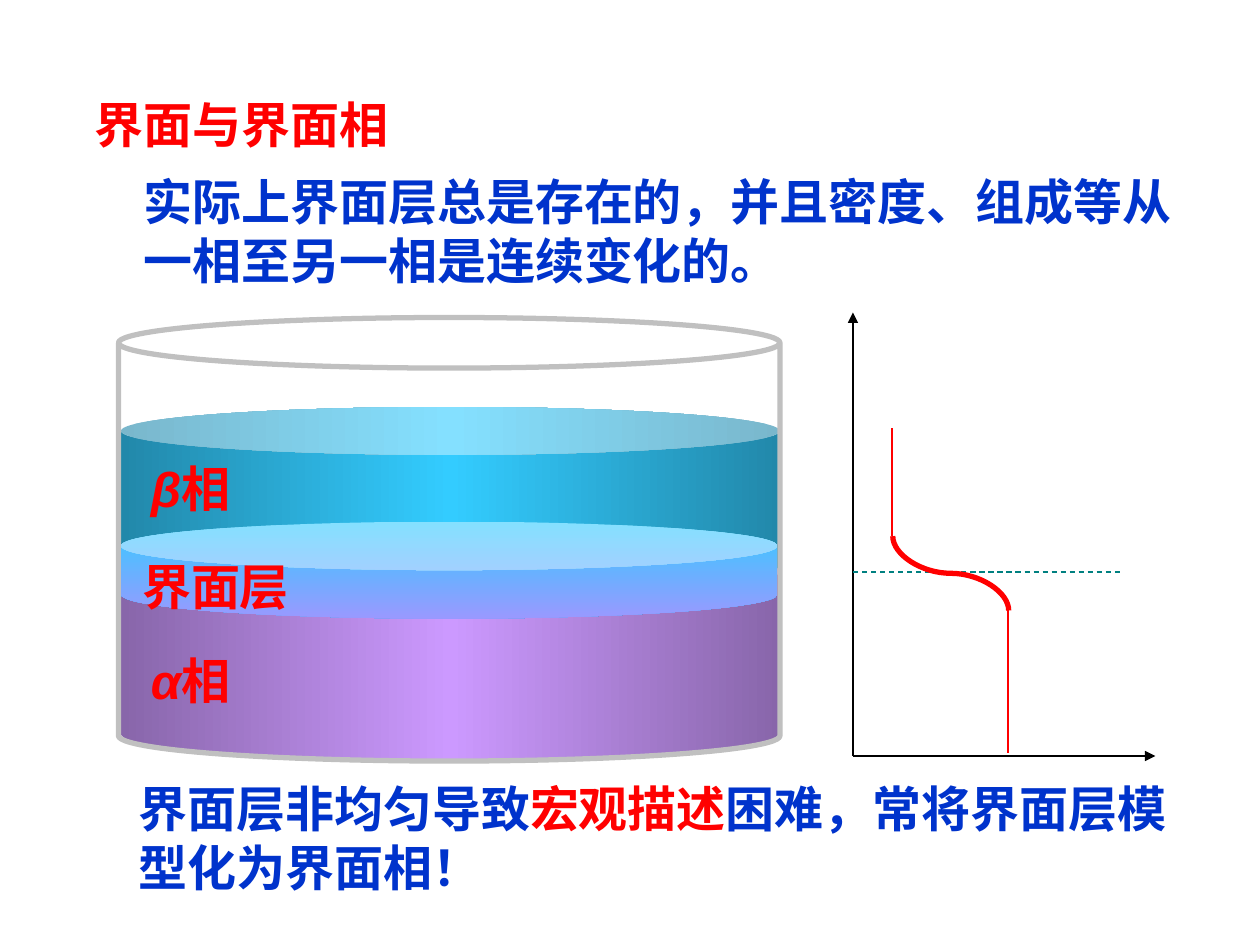
from lxml.etree import SubElement
from pptx import Presentation
from pptx.dml.color import RGBColor
from pptx.enum.dml import MSO_LINE
from pptx.enum.shapes import MSO_CONNECTOR, MSO_SHAPE
from pptx.enum.text import MSO_ANCHOR, MSO_AUTO_SIZE, PP_ALIGN
from pptx.oxml.ns import qn
from pptx.util import Pt

PX = 9144
RED = RGBColor(0xFF, 0x00, 0x00)
BLUE = RGBColor(0x00, 0x33, 0xCC)
BLACK = RGBColor(0x00, 0x00, 0x00)
TEAL = RGBColor(0x00, 0x80, 0x80)
GRAY = RGBColor(0xC0, 0xC0, 0xC0)
SEA = RGBColor(0x22, 0x88, 0xAA)
SKY = RGBColor(0x33, 0xCC, 0xFF)
PLUM = RGBColor(0x88, 0x66, 0xAA)
LILAC = RGBColor(0xCC, 0x99, 0xFF)
IRIS = RGBColor(0x99, 0x99, 0xFF)

FONT = {"name": "Times New Roman", "size": Pt(28), "bold": True, "italic": False}
GREEK = {"name": "Arial", "italic": True}
FRAME = {"word_wrap": True, "auto_size": MSO_AUTO_SIZE.NONE,
         "vertical_anchor": MSO_ANCHOR.TOP}


def px(*nums):
    return [n * PX for n in nums]


def apply(obj, vals):
    for key, val in vals.items():
        setattr(obj, key, val)


def write(shape, box, runs, align=PP_ALIGN.LEFT, **frame):
    apply(shape, dict(zip(("left", "top", "width", "height"), px(*box))))
    text = shape.text_frame
    apply(text, {**FRAME, **frame})
    para = text.paragraphs[0]
    props = para._p.get_or_add_pPr()
    props.set("marL", "0")
    props.set("indent", "0")
    SubElement(props, qn("a:buNone"))
    apply(para, {"alignment": align, "space_before": Pt(0)})
    for word, color, extra in runs:
        run = para.add_run()
        run.text = word
        apply(run.font, {**FONT, **extra})
        run.font.color.rgb = color


def label(slide, box, runs):
    write(slide.shapes.add_textbox(*px(*box)), box, runs)


def can(slide, box, bend, stops=(), angle=0):
    shape = slide.shapes.add_shape(MSO_SHAPE.CAN, *px(*box))
    shape.shadow.inherit = False
    shape.adjustments[0] = bend
    if not stops:
        shape.fill.background()
        shape.line.color.rgb = GRAY
        shape.line.width = Pt(3)
        return
    shape.line.fill.background()
    shape.fill.gradient()
    shape.fill.gradient_angle = angle
    ramp = shape._element.spPr.find(".//" + qn("a:gsLst"))
    for old in list(ramp):
        ramp.remove(old)
    for num, color in enumerate(stops):
        stop = SubElement(ramp, qn("a:gs"), pos=str(num * 100000 // (len(stops) - 1)))
        SubElement(stop, qn("a:srgbClr"), val=str(color))


def line(slide, ends, color, width, arrow=False, dash=None, kind=MSO_CONNECTOR.STRAIGHT):
    wire = slide.shapes.add_connector(kind, *px(*ends))
    apply(wire.line, {"width": Pt(width), "dash_style": dash})
    wire.line.color.rgb = color
    if arrow:
        SubElement(wire.line._get_or_add_ln(), qn("a:tailEnd"), type="triangle")
    SubElement(wire._element.spPr, qn("a:effectLst"))
    return wire


def plot(slide, x, y):
    for ends, color, width, arrow, dash in (
        ((0, 352, 0, 0), BLACK, 0.75, True, None),
        ((0, 352, 240, 352), BLACK, 0.75, True, None),
        ((0, 206, 213, 206), TEAL, 0.75, False, MSO_LINE.DASH),
        ((31, 92, 31, 177), RED, 1, False, None),
        ((123, 236, 123, 350), RED, 1, False, None),
    ):
        a, b, c, d = ends
        line(slide, (x + a, y + b, x + c, y + d), color, width, arrow, dash)
    curve = line(slide, (x + 107, y + 161, x + 48, y + 253), RED, 3,
                 kind=MSO_CONNECTOR.CURVE)
    curve._element.spPr.find(qn("a:xfrm")).set("rot", str(270 * 60000))


def vessel(slide, x, y):
    can(slide, (x + 2, y + 71, 523, 152), 0.25, (SEA, SKY, SEA))
    can(slide, (x + 2, y + 180, 523, 172), 0.25, (PLUM, LILAC, PLUM))
    can(slide, (x, y, 525, 352), 0.114)
    can(slide, (x + 2, y + 162, 521, 77), 0.5, (SKY, IRIS), 270)
    for sign, top in (("β", 107), ("α", 259)):
        label(slide, (x + 16, y + top, 93, 57), [(sign, RED, GREEK), ("相", RED, {})])
    label(slide, (x + 9, y + 185, 150, 57), [("界面层", RED, {})])


def words(slide):
    title, intro, close = slide.placeholders
    write(title, (65, 70, 263, 57), [("界面与界面相", RED, {})],
          PP_ALIGN.JUSTIFY, vertical_anchor=MSO_ANCHOR.MIDDLE)
    write(intro, (104, 131, 849, 104), [
        ("实际上界面层总是存在的，并且密度、组成等从一相至另一相是连续变化的。", BLUE, {})])
    write(close, (100, 613, 858, 104), [
        ("界面层非均匀导致", BLUE, {}),
        ("宏观描述", RED, {}),
        ("困难，常将界面层模型化为界面相！", BLUE, {})])


def main():
    deck = Presentation()
    deck.slide_width, deck.slide_height = px(1000, 750)
    slide = deck.slides.add_slide(deck.slide_layouts[3])
    words(slide)
    plot(slide, 677, 248)
    vessel(slide, 94, 252)
    deck.save("out.pptx")


if __name__ == "__main__":
    main()
